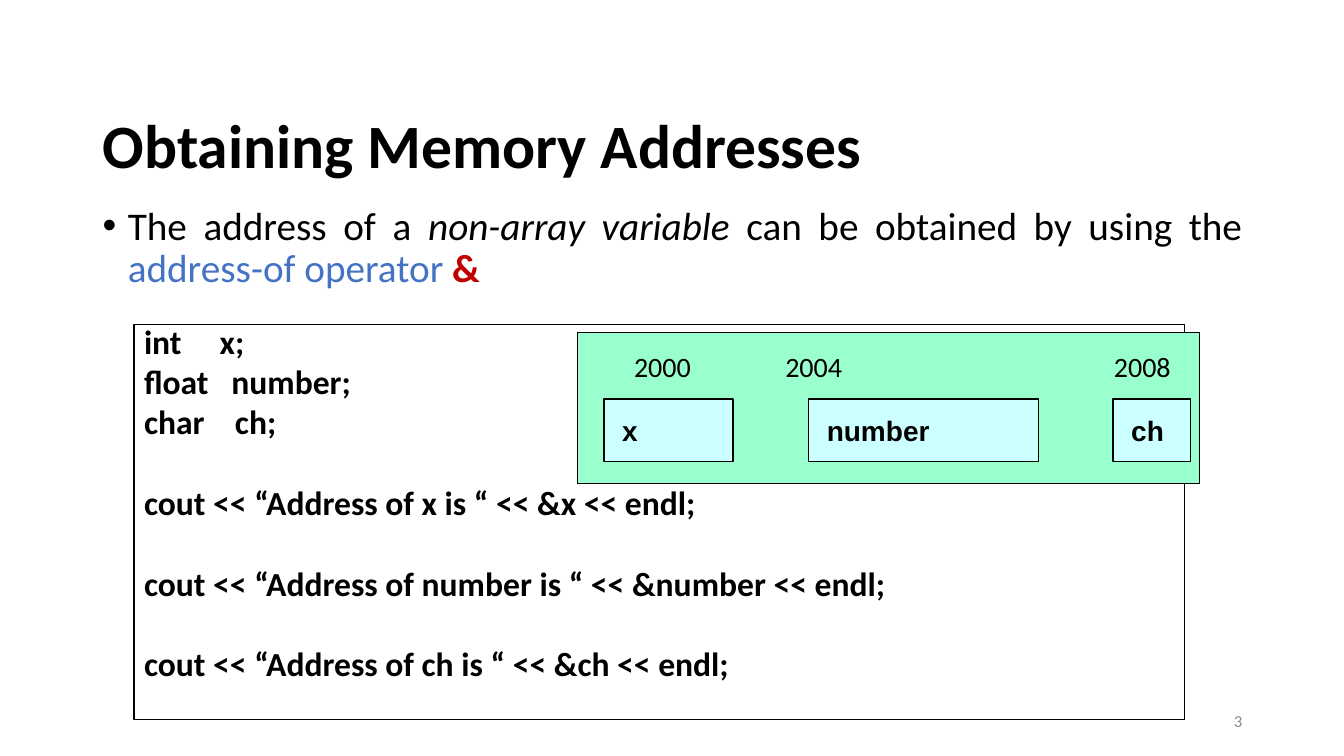
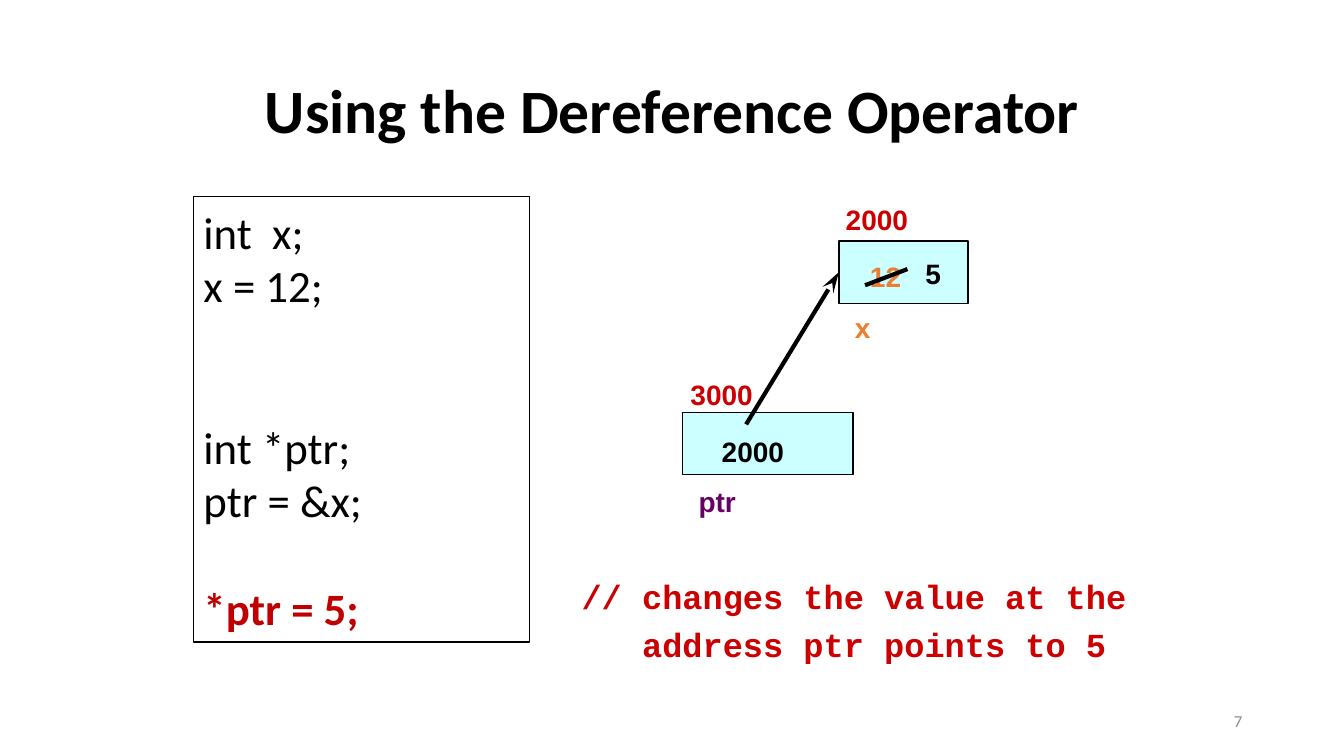
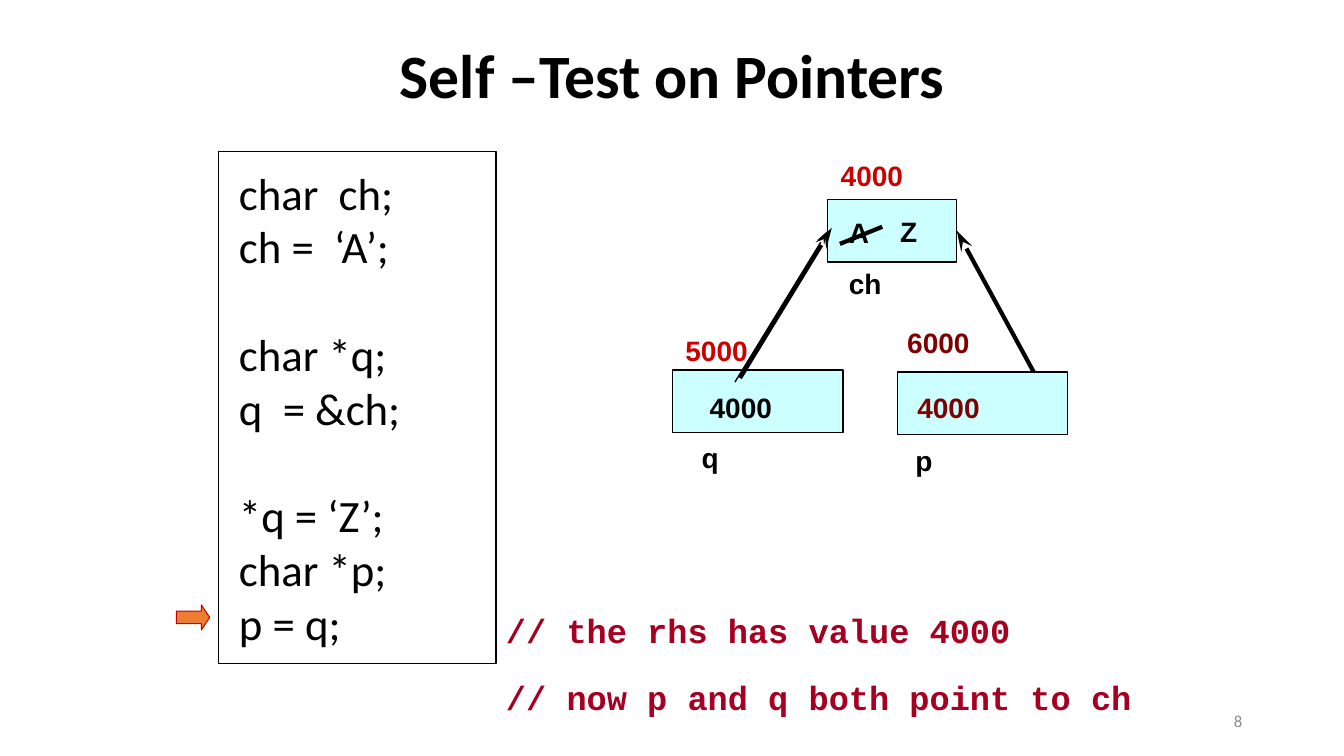
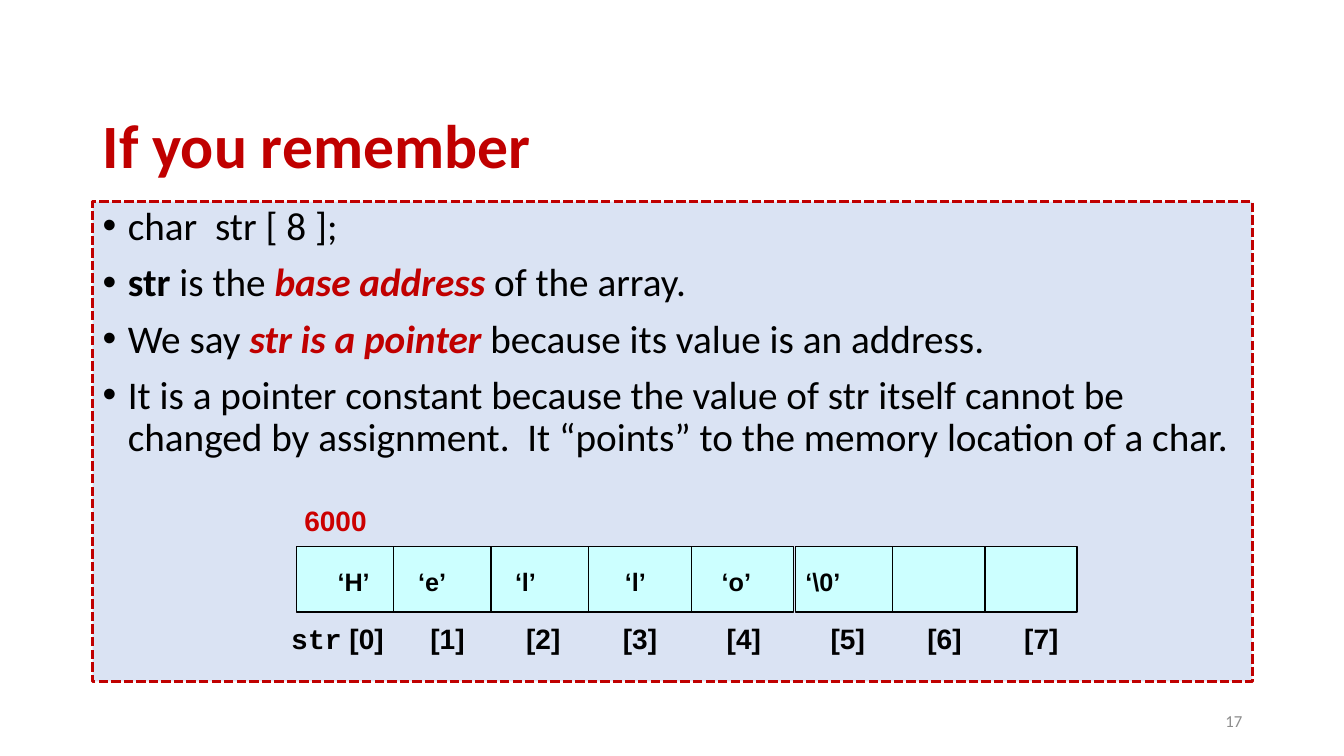
from dataclasses import dataclass

from pptx import Presentation
from pptx.dml.color import RGBColor
from pptx.enum.dml import MSO_LINE
from pptx.enum.shapes import MSO_CONNECTOR, MSO_SHAPE
from pptx.enum.text import MSO_ANCHOR, PP_ALIGN
from pptx.oxml.ns import qn
from pptx.util import Inches, Pt
from lxml.etree import SubElement


@dataclass(frozen=True)
class Theme:
    ink: str = "000000"
    paper: str = "FFFFFF"
    accent: str = "C00000"
    address: str = "CC0000"
    dark_red: str = "800000"
    comment: str = "A50021"
    blue: str = "4472C4"
    orange: str = "ED7D31"
    purple: str = "660066"
    grey: str = "8C8C8C"
    memory: str = "99FFCC"
    cell: str = "CCFFFF"
    panel: str = "DAE3F3"
    text_font: str = "Calibri"
    label_font: str = "Arial"
    code_font: str = "Courier New"
    title_size: int = 44
    code_size: int = 32
    body_size: int = 28
    small_code_size: int = 24
    label_size: int = 20
    value_size: int = 18
    number_size: int = 12


THEME = Theme()


class Deck:
    def __init__(self):
        self.presentation = Presentation()
        self.presentation.slide_width = Inches(13.33)
        self.presentation.slide_height = Inches(7.5)
        self.slide = None

    def new_slide(self, title, number, anchor, align=PP_ALIGN.LEFT, color=THEME.ink):
        self.slide = self.presentation.slides.add_slide(self.presentation.slide_layouts[6])
        heading = self.frame(0.92, 0.4, 11.5, 1.45, anchor)
        paragraph = heading.paragraphs[0]
        paragraph.alignment = align
        paragraph.line_spacing = 0.9
        self.run(paragraph, title, THEME.title_size, color=color, bold=True)
        footer = self.frame(9.42, 6.95, 3, 0.4, MSO_ANCHOR.MIDDLE).paragraphs[0]
        footer.alignment = PP_ALIGN.RIGHT
        self.run(footer, str(number), THEME.number_size, color=THEME.grey)

    def frame(self, left, top, width, height, anchor=MSO_ANCHOR.TOP):
        """Add a wrapping text box and return its text frame."""
        box = self.slide.shapes.add_textbox(
            Inches(left), Inches(top), Inches(width), Inches(height))
        box.text_frame.word_wrap = True
        box.text_frame.vertical_anchor = anchor
        return box.text_frame

    def run(self, paragraph, text, size, font=THEME.text_font, color=THEME.ink,
            bold=False, italic=False):
        run = paragraph.add_run()
        run.text = text
        run.font.name, run.font.size = font, Pt(size)
        run.font.bold, run.font.italic = bold, italic
        run.font.color.rgb = RGBColor.from_string(color)

    def shape(self, left, top, width, height, fill, line=THEME.ink, weight=1.0,
              kind=MSO_SHAPE.RECTANGLE):
        shape = self.slide.shapes.add_shape(
            kind, Inches(left), Inches(top), Inches(width), Inches(height))
        shape.shadow.inherit = False
        shape.fill.solid()
        shape.fill.fore_color.rgb = RGBColor.from_string(fill)
        if line:
            shape.line.color.rgb = RGBColor.from_string(line)
            shape.line.width = Pt(weight)
        else:
            shape.line.fill.background()
        shape.text_frame.word_wrap = True
        shape.text_frame.paragraphs[0].alignment = PP_ALIGN.LEFT
        return shape

    def cell(self, left, top, width, height=0.62, text="", inset=0.1, line=THEME.ink):
        """Add a memory cell, optionally holding a value."""
        cell = self.shape(left, top, width, height, THEME.cell, line)
        if text:
            cell.text_frame.margin_left = Inches(inset)
            cell.text_frame.margin_right = 0
            self.run(cell.text_frame.paragraphs[0], text, THEME.label_size,
                     THEME.label_font, bold=True)
        return cell

    def label(self, text, left, top, color=THEME.ink, font=THEME.label_font, bold=True,
              size=THEME.label_size):
        paragraph = self.frame(left, top, 1.2, 0.43).paragraphs[0]
        self.run(paragraph, text, size, font, color, bold)
        return paragraph

    def labels(self, entries):
        for entry in entries:
            self.label(*entry)

    def code(self, left, top, width, height, lines, size=THEME.code_size, bold=False,
             inset=0.1, bottom=0.05, highlight=None):
        """Add a framed listing; an empty line becomes space before the next one."""
        frame = self.shape(left, top, width, height, THEME.paper).text_frame
        frame.vertical_anchor = MSO_ANCHOR.MIDDLE
        frame.margin_left = Inches(inset)
        frame.margin_bottom = Inches(bottom)
        paragraph, gap = frame.paragraphs[0], 0
        for index, line in enumerate(lines):
            if not line:
                gap += size * 1.2
                continue
            if index:
                paragraph = frame.add_paragraph()
                paragraph.alignment = PP_ALIGN.LEFT
                paragraph.space_before = Pt(gap)
            marked = line == highlight
            self.run(paragraph, line, size, bold=bold or marked,
                     color=THEME.accent if marked else THEME.ink)
            gap = 0

    def comment(self, left, top, width, height, lines, color, gap):
        frame = self.frame(left, top, width, height)
        for index, line in enumerate(lines):
            paragraph = frame.add_paragraph() if index else frame.paragraphs[0]
            if index:
                paragraph.space_before = Pt(gap)
            self.run(paragraph, line, THEME.small_code_size, THEME.code_font, color, True)

    def bullets(self, frame, items, align=PP_ALIGN.LEFT):
        """Fill a frame with bullets, each a list of (text, style) runs."""
        for index, item in enumerate(items):
            paragraph = frame.add_paragraph() if index else frame.paragraphs[0]
            paragraph.alignment = align
            paragraph.line_spacing = 0.9
            if index:
                paragraph.space_before = Pt(10)
            properties = paragraph._p.get_or_add_pPr()
            properties.set("marL", str(Inches(0.25)))
            properties.set("indent", str(-Inches(0.25)))
            SubElement(properties, qn("a:buFont"), typeface=THEME.label_font)
            SubElement(properties, qn("a:buChar"), char="•")
            for text, style in item:
                self.run(paragraph, text, THEME.body_size, **style)

    def line(self, start, end, weight=3, arrow=False, target=None, side=1):
        x1, y1, x2, y2 = (Inches(value) for value in (*start, *end))
        line = self.slide.shapes.add_connector(MSO_CONNECTOR.STRAIGHT, x1, y1, x2, y2)
        line.line.color.rgb = RGBColor.from_string(THEME.ink)
        line.line.width = Pt(weight)
        if arrow:
            SubElement(line.line._get_or_add_ln(), qn("a:tailEnd"),
                       type="stealth", w="med", len="lg")
        SubElement(line._element.spPr, qn("a:effectLst"))
        if target is not None:
            line.end_connect(target, side)


def memory_addresses(deck):
    deck.new_slide("Obtaining Memory Addresses", 3, MSO_ANCHOR.BOTTOM)
    deck.bullets(deck.frame(0.92, 2, 11.5, 1.1), [[
        ("The address of a ", {}),
        ("non-array variable", {"italic": True}),
        (" can be obtained by using the ", {}),
        ("address-of operator ", {"color": THEME.blue}),
        ("&", {"color": THEME.accent, "bold": True}),
    ]], PP_ALIGN.JUSTIFY)
    deck.code(1.33, 3.22, 10.42, 3.92, [
        "int     x;",
        "float   number;",
        "char    ch;",
        "",
        "cout << “Address of x is “ << &x << endl;",
        "",
        "cout << “Address of number is “ << &number << endl;",
        "",
        "cout << “Address of ch is “ << &ch << endl;",
    ], THEME.small_code_size, bold=True, bottom=0.45)
    deck.shape(5.73, 3.3, 6.17, 1.5, THEME.memory, weight=0.75)
    for variable, left, width, address, address_left in (
            ("x", 5.99, 1.28, "2000", 6.19),
            ("number", 8.02, 2.28, "2004", 7.69),
            ("ch", 11.04, 0.77, "2008", 10.95)):
        deck.cell(left, 3.96, width, text=variable, inset=0.18)
        deck.label(address, address_left, 3.42, font=THEME.text_font, bold=False)


def dereference(deck):
    deck.new_slide("Using the Dereference Operator", 7, MSO_ANCHOR.MIDDLE, PP_ALIGN.CENTER)
    deck.code(1.92, 1.95, 3.33, 4.42, [
        "int  x;", "x = 12;", "", "", "int *ptr;", "ptr = &x;", "", "*ptr = 5;",
    ], highlight="*ptr = 5;")
    x_cell = deck.cell(8.32, 2.39, 1.28)
    deck.cell(6.77, 4.09, 1.69)
    deck.line((7.4, 4.21), (8.32, 2.7), arrow=True, target=x_cell)
    deck.labels([
        ("2000", 8.29, 1.96, THEME.address),
        ("12", 8.53, 2.53, THEME.orange),
        ("x", 8.38, 3.03, THEME.orange),
        ("3000", 6.75, 3.7, THEME.address),
        ("2000", 7.06, 4.26),
        ("ptr", 6.83, 4.76, THEME.purple),
    ])
    deck.cell(9.08, 2.5, 0.36, 0.43, "5", line=None)
    deck.line((8.58, 2.83), (9, 2.67))
    deck.comment(5.67, 5.66, 5.67, 0.92, [
        "// changes the value at the", "   address ptr points to 5",
    ], THEME.address, gap=6)


def self_test(deck):
    deck.new_slide("Self –Test on Pointers", 8, MSO_ANCHOR.TOP, PP_ALIGN.CENTER)
    deck.code(2.17, 1.5, 2.75, 5.08, [
        "char  ch;", "ch =  ‘A’;", "", "char *q;", "q  = &ch;", "",
        "*q = ‘Z’;", "char *p;", "p = q;",
    ], inset=0.2)
    ch_cell = deck.cell(8.21, 1.98, 1.28)
    deck.cell(6.67, 3.67, 1.69)
    deck.line((7.29, 3.79), (8.21, 2.29), weight=1, arrow=True, target=ch_cell)
    deck.line((10.35, 3.87), (9.49, 2.29), arrow=True, target=ch_cell, side=3)
    deck.cell(8.9, 3.69, 1.69)
    deck.labels([
        ("4000", 8.24, 1.52, THEME.address),
        ("A", 8.32, 2.09),
        ("ch", 8.32, 2.59),
        ("5000", 6.7, 3.26, THEME.address),
        ("4000", 6.94, 3.82),
        ("q", 6.86, 4.32),
        ("6000", 8.9, 3.18, THEME.dark_red),
        ("4000", 9, 3.82, THEME.dark_red),
        ("p", 8.98, 4.35),
    ])
    deck.cell(8.83, 2.08, 0.37, 0.43, "Z", line=None)
    deck.line((8.33, 2.42), (8.75, 2.25))
    deck.line((7.34, 3.75), (8.25, 2.26), arrow=True)
    deck.comment(4.92, 6, 6.75, 1.42, [
        "// the rhs has value 4000", "// now p and q both point to ch",
    ], THEME.comment, gap=19.5)
    deck.shape(1.75, 6, 0.33, 0.25, THEME.orange, THEME.accent, 0.75,
               MSO_SHAPE.RIGHT_ARROW).adjustments[1] = 0.33


def array_pointer(deck):
    deck.new_slide("If you remember", 17, MSO_ANCHOR.BOTTOM, color=THEME.accent)
    panel = deck.shape(0.92, 2, 11.5, 4.76, THEME.panel, THEME.accent, 2.25)
    panel.line.dash_style = MSO_LINE.SQUARE_DOT
    panel.text_frame.vertical_anchor = MSO_ANCHOR.TOP
    emphasis = {"color": THEME.accent, "bold": True, "italic": True}
    deck.bullets(panel.text_frame, [
        [("char  str [ 8 ];", {})],
        [("str", {"bold": True}), (" is the ", {}), ("base address", emphasis),
         (" of the array.", {})],
        [("We say ", {}), ("str is a pointer ", emphasis),
         ("because its value is an address.", {})],
        [("It is a pointer constant because the value of str itself cannot be changed "
          "by assignment.  It “points” to the memory location of a char.", {})],
    ])
    for strip_left, strip_width in ((2.94, 4.93), (7.89, 2.79)):
        deck.cell(strip_left, 5.42, strip_width, 0.65)
    for divider in (3.9, 4.87, 5.84, 6.86, 8.85, 9.77):
        deck.line((divider, 5.42), (divider, 6.08), weight=1)
    for value, left in (("‘H’", 3.25), ("‘e’", 4.05), ("‘l’", 5.01), ("‘l’", 6.1),
                        ("‘o’", 7.06), ("‘\\0’", 7.89)):
        deck.label(value, left, 5.57, size=THEME.value_size)
    deck.label("6000", 2.92, 4.95, THEME.address)
    first_index = deck.label("str", 2.79, 6.12, font=THEME.code_font)
    deck.run(first_index, " [0]", THEME.label_size, THEME.label_font, bold=True)
    for index, left in enumerate((4.17, 5.12, 6.08, 7.11, 8.14, 9.1, 10.06), 1):
        deck.label(f"[{index}]", left, 6.12)


def main():
    deck = Deck()
    for build in (memory_addresses, dereference, self_test, array_pointer):
        build(deck)
    deck.presentation.save("out.pptx")


if __name__ == "__main__":
    main()
